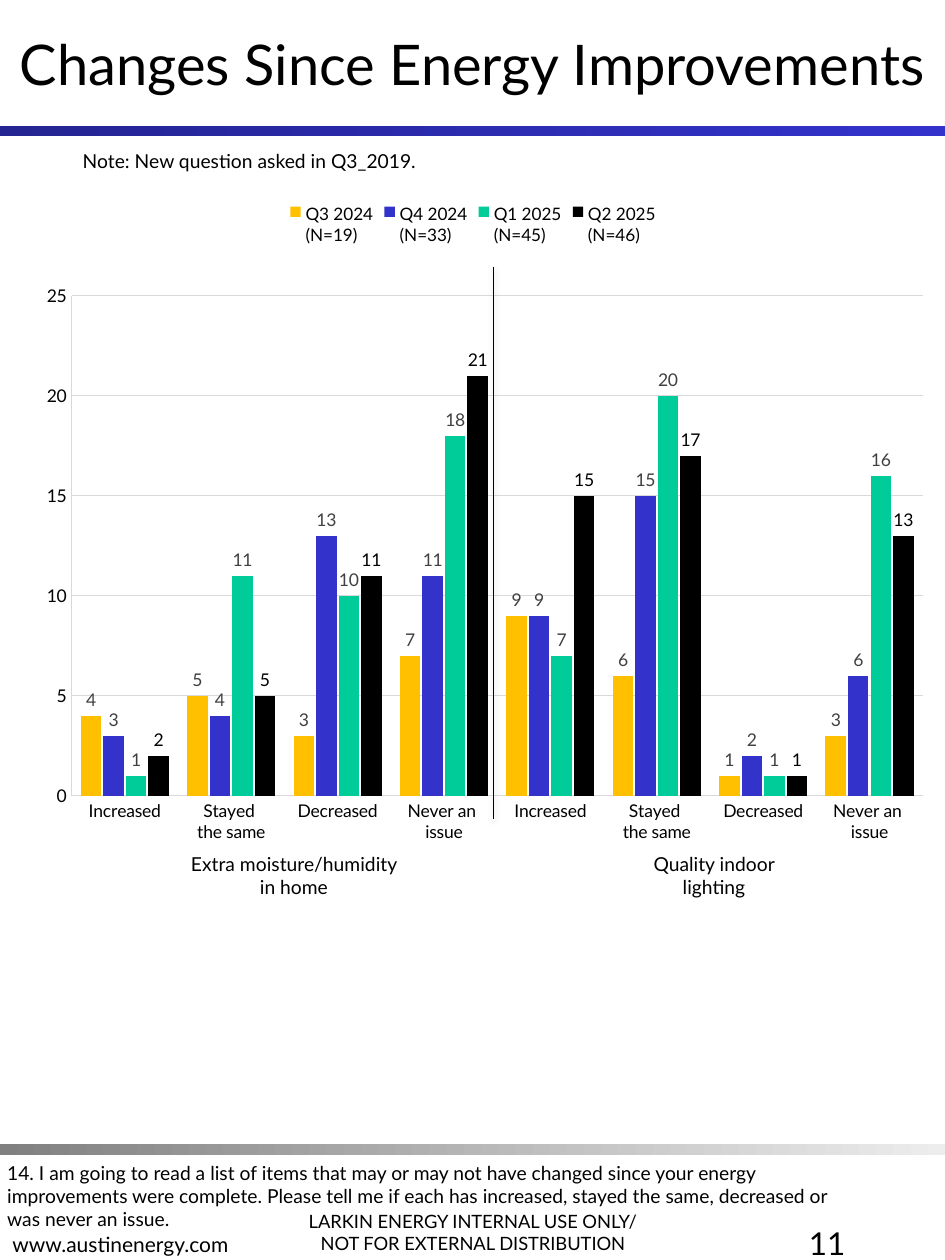
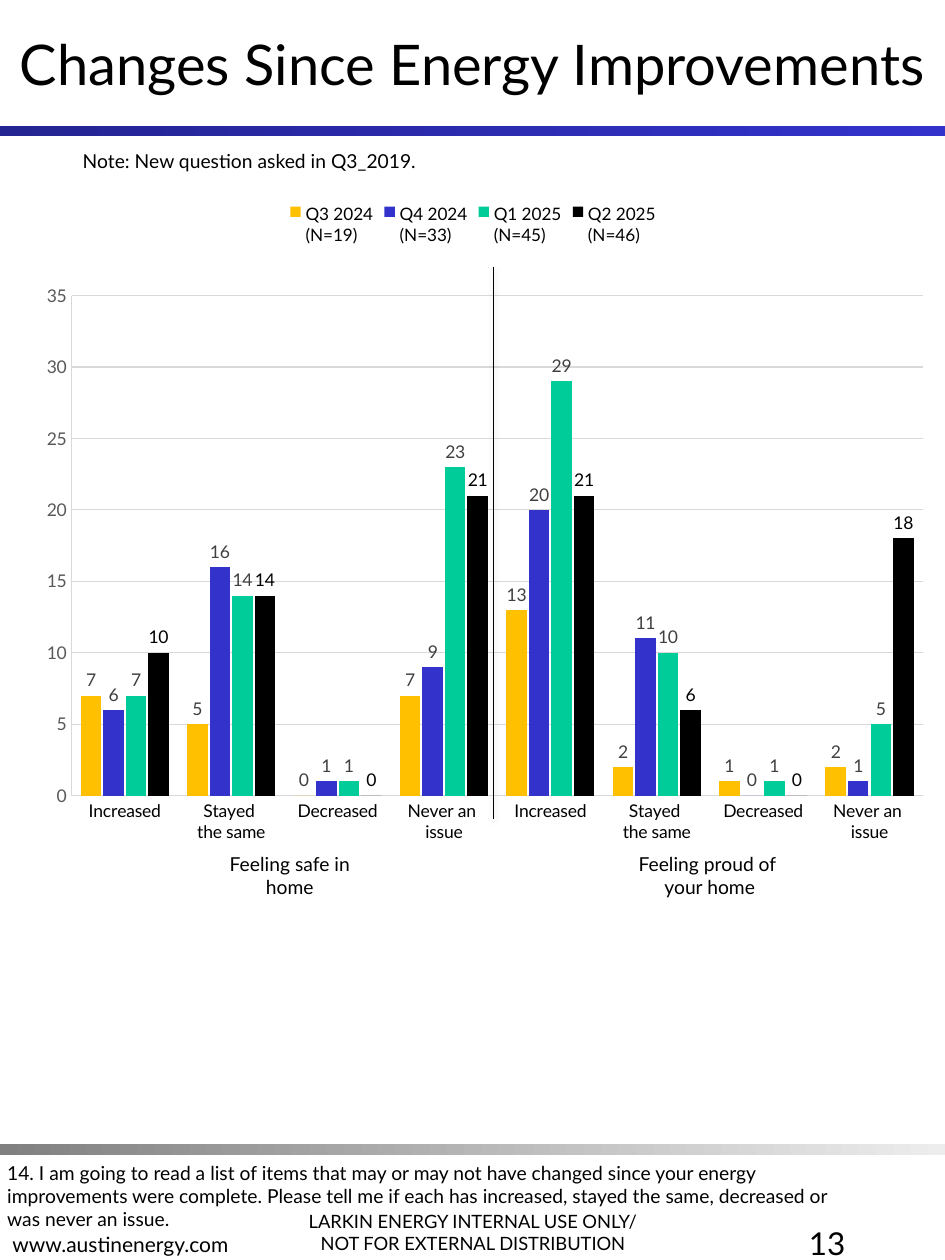
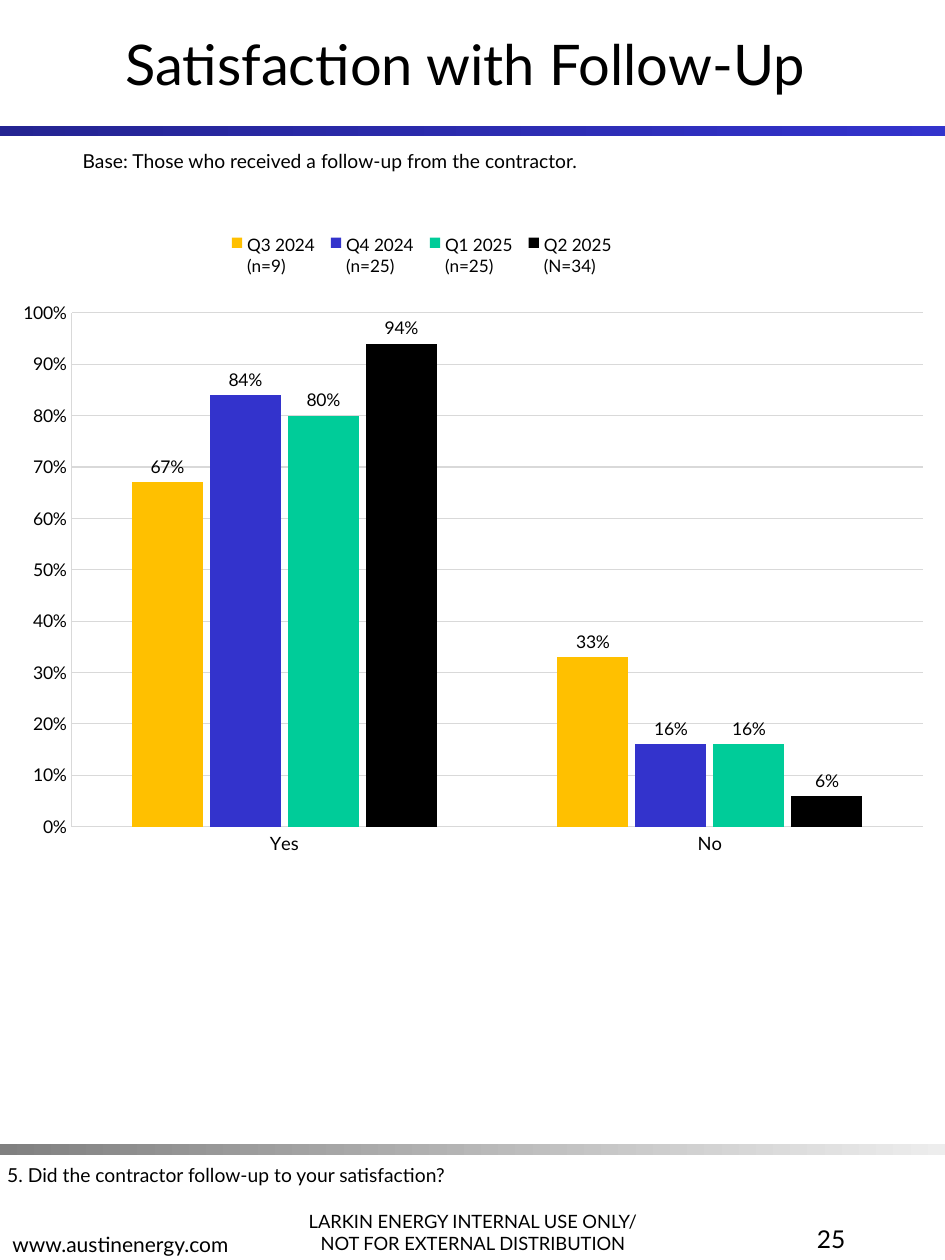
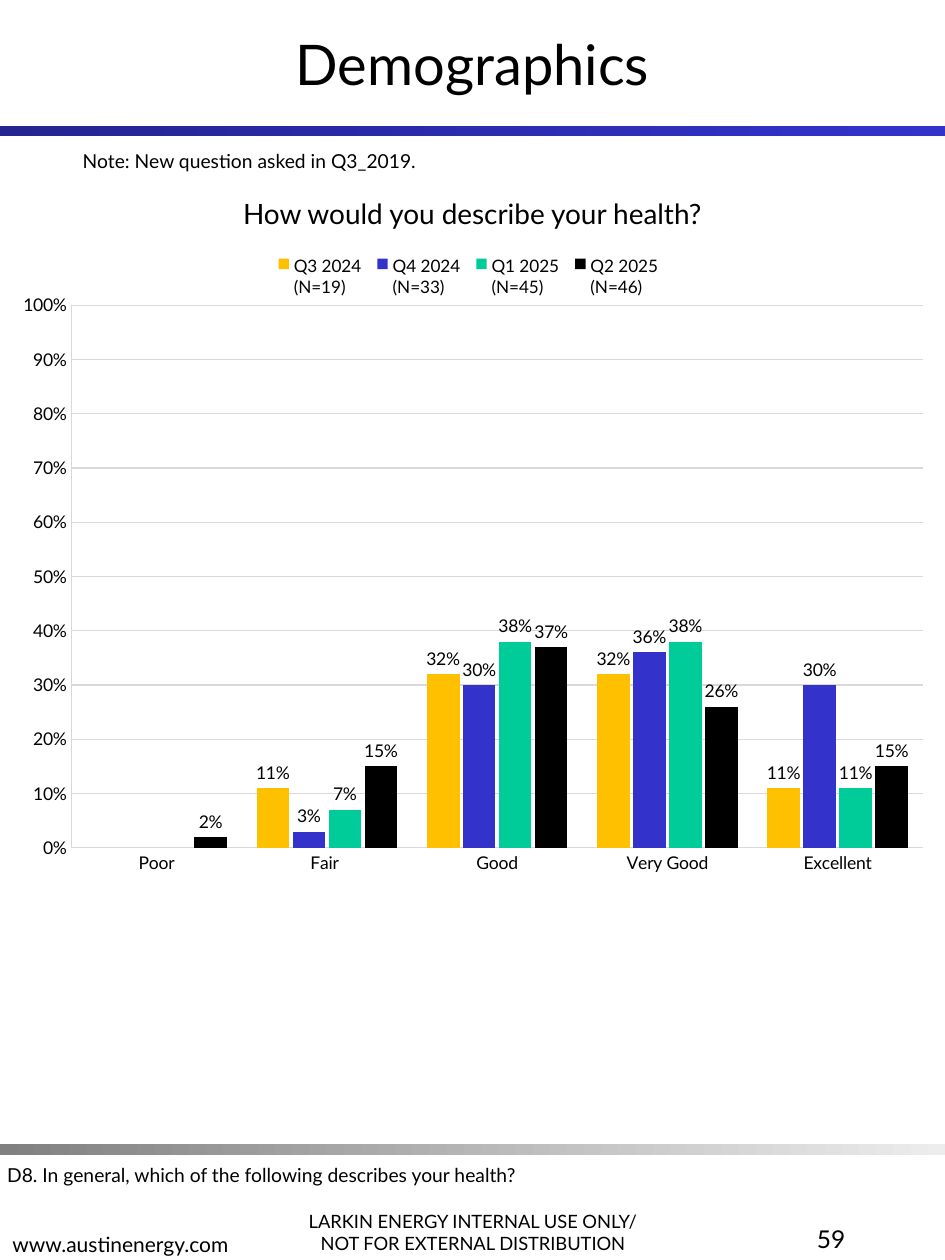
from lxml import etree
from pptx import Presentation
from pptx.chart.data import CategoryChartData
from pptx.dml.color import RGBColor
from pptx.enum.chart import XL_CHART_TYPE as ChartType
from pptx.enum.chart import XL_LABEL_POSITION as LabelPosition
from pptx.enum.chart import XL_LEGEND_POSITION as LegendPosition
from pptx.enum.chart import XL_TICK_MARK as TickMark
from pptx.enum.shapes import MSO_CONNECTOR as Connector
from pptx.enum.shapes import MSO_SHAPE as Preset
from pptx.enum.text import MSO_ANCHOR as Anchor
from pptx.enum.text import MSO_AUTO_SIZE as AutoSize
from pptx.enum.text import PP_ALIGN as Align
from pptx.oxml import parse_xml
from pptx.oxml.ns import nsdecls, qn
from pptx.util import Inches, Pt

# Shared look: a grid of 90 columns by 120 rows, twelve to the inch
COLUMNS, ROWS, PER_INCH = 90, 120, 12
FONT = "Lato"
BLACK = RGBColor(0x00, 0x00, 0x00)
LABEL_GRAY = RGBColor(0x40, 0x40, 0x40)
AXIS_GRAY = RGBColor(0x59, 0x59, 0x59)
GRID_GRAY = RGBColor(0xD9, 0xD9, 0xD9)
NAVY = RGBColor(0x24, 0x24, 0x92)
BLUE = RGBColor(0x33, 0x33, 0xCC)
BAND_GRAY = RGBColor(0x80, 0x80, 0x80)
BAND_LIGHT = RGBColor(0xED, 0xED, 0xED)
SERIES_COLORS = [RGBColor(0xFF, 0xC0, 0x00), BLUE, RGBColor(0x00, 0xCC, 0x99), BLACK]

# Shared wording
QUARTERS = ["Q3 2024", "Q4 2024", "Q1 2025", "Q2 2025"]
ALL_BASES = ["(N=19)", "(N=33)", "(N=45)", "(N=46)"]
CHANGES = ["Increased", "Stayed \nthe same", "Decreased", "Never an \nissue"] * 2
NEW_QUESTION = "Note: New question asked in Q3_2019."
CHANGES_QUESTION = (
    "14. I am going to read a list of items that may or may not have changed since "
    "your energy improvements were complete. Please tell me if each has increased, "
    "stayed the same, decreased or was never an issue.")


def grid(*cells):
    return [Inches(cell / PER_INCH) for cell in cells]


def style_font(font, size, color=BLACK):
    font.name = FONT
    font.size = Pt(size)
    font.color.rgb = color


def write_lines(frame, lines, size, align=Align.LEFT):
    for index, line in enumerate(lines):
        paragraph = frame.paragraphs[0] if index == 0 else frame.add_paragraph()
        paragraph.alignment = align
        run = paragraph.add_run()
        run.text = line
        style_font(run.font, size)


def add_text(slide, place, lines, size, align=Align.LEFT, anchor=Anchor.TOP, wrap=True):
    shape = slide.shapes.add_textbox(*grid(*place))
    shape.text_frame.word_wrap = wrap
    shape.text_frame.vertical_anchor = anchor
    write_lines(shape.text_frame, lines, size, align)
    return shape


def add_band(slide, row, colors):
    band = slide.shapes.add_shape(Preset.RECTANGLE, *grid(0, row, COLUMNS, 1))
    band.shadow.inherit = False
    band.line.fill.background()
    band.fill.gradient()
    band.fill.gradient_angle = 0
    for stop, color in zip(band.fill.gradient_stops, colors):
        stop.color.rgb = color
    return band


def furnish_layout(layout, slide):
    """Draw the bands and footers once and hand them to the layout."""
    for placeholder in list(layout.placeholders):
        if placeholder.placeholder_format.idx >= 10:
            placeholder.element.getparent().remove(placeholder.element)
    shared = [
        add_band(slide, 12, (NAVY, BLUE)),
        add_band(slide, 109, (BAND_GRAY, BAND_LIGHT)),
        add_text(slide, (25.9, 112, 38.3, 8),
                 ["LARKIN ENERGY INTERNAL USE ONLY/", "NOT FOR EXTERNAL DISTRIBUTION"],
                 10.5, Align.CENTER, Anchor.BOTTOM),
        add_text(slide, (0, 112.3, 38.3, 8), ["www.austinenergy.com"], 12,
                 anchor=Anchor.BOTTOM),
    ]
    for shape in shared:
        layout.shapes.element.append(shape.element)


def add_frame(slide, title, number, number_size, note, question, question_row):
    """Fill in the title, page number, note and survey question."""
    heading = slide.shapes.title
    heading.left, heading.top, heading.width, heading.height = grid(0, 0, COLUMNS, 12)
    heading.text_frame.auto_size = AutoSize.NONE
    heading.text_frame.vertical_anchor = Anchor.MIDDLE
    write_lines(heading.text_frame, [title], 32, Align.CENTER)
    add_text(slide, (63, 116, 18.7, 8), [number], number_size, Align.RIGHT)
    add_text(slide, (6.7, 13.6, 77.3, 3.5), [note], 11)
    add_text(slide, (-0.5, question_row, 82.2, 3.5), [question], 11)


def set_layout(parent, index, place, inner=False):
    """Fix the place of a chart part, in shares of the chart's size."""
    for old in parent.findall(qn("c:layout")):
        parent.remove(old)
    layout = parse_xml(f"<c:layout {nsdecls('c')}><c:manualLayout/></c:layout>")
    settings = [("layoutTarget", "inner")] if inner else []
    settings += [("xMode", "edge"), ("yMode", "edge"), *zip("xywh", place)]
    for name, value in settings:
        etree.SubElement(layout[0], qn(f"c:{name}")).set("val", str(value))
    parent.insert(index, layout)


def style_axis(axis, size, color, line_width):
    axis.major_tick_mark = axis.minor_tick_mark = TickMark.NONE
    style_font(axis.tick_labels.font, size, color)
    axis.format.line.color.rgb = GRID_GRAY
    axis.format.line.width = Pt(line_width)


def add_column_chart(slide, place, categories, rows, plot_place, bases=ALL_BASES,
                     percent=False, gap=90, category_size=10, value_color=BLACK,
                     legend_place=None):
    number_format = "0%" if percent else "General"
    data = CategoryChartData(number_format=number_format)
    data.categories = categories
    for quarter, base, values in zip(QUARTERS, bases, rows):
        data.add_series(f"{quarter}\n{base}", values)
    chart = slide.shapes.add_chart(
        ChartType.COLUMN_CLUSTERED, *grid(*place), data).chart
    style_font(chart.font, 10)
    chart.has_title = False

    # Legend
    chart.has_legend = True
    chart.legend.position = LegendPosition.TOP
    chart.legend.include_in_layout = False
    style_font(chart.legend.font, 9.8)
    if legend_place:
        set_layout(chart.element.find(".//" + qn("c:legend")), 1, legend_place)

    # Axes
    style_axis(chart.category_axis, category_size, BLACK, 0.62)
    axis = chart.value_axis
    style_axis(axis, 10, value_color, 0.41)
    axis.minimum_scale = 0
    if percent:
        axis.maximum_scale = 1
    axis.tick_labels.number_format = number_format
    axis.tick_labels.number_format_is_linked = False
    axis.has_major_gridlines = True
    axis.major_gridlines.format.line.color.rgb = GRID_GRAY
    axis.major_gridlines.format.line.width = Pt(0.62)

    # Columns and their labels
    plot = chart.plots[0]
    plot.gap_width, plot.overlap, plot.vary_by_categories = gap, -10, False
    for series, color in zip(plot.series, SERIES_COLORS):
        series.invert_if_negative = False
        series.format.fill.solid()
        series.format.fill.fore_color.rgb = color
        labels = series.data_labels
        labels.show_value = True
        labels.position = LabelPosition.OUTSIDE_END
        labels.number_format = number_format
        labels.number_format_is_linked = False
        style_font(labels.font, 10, BLACK if percent or color == BLACK else LABEL_GRAY)
    set_layout(chart.element.find(".//" + qn("c:plotArea")), 0, plot_place, inner=True)


def add_divider(slide):
    left, top, bottom = grid(47, 25.4, 78)
    divider = slide.shapes.add_connector(Connector.STRAIGHT, left, top, left, bottom)
    divider.line.color.rgb = BLACK
    divider.line.width = Pt(0.25)
    divider.element.spPr.append(parse_xml(
        f'<a:effectLst {nsdecls("a")}><a:outerShdw blurRad="40000" dist="20000" '
        'dir="5400000" rotWithShape="0"><a:srgbClr val="000000">'
        '<a:alpha val="38000"/></a:srgbClr></a:outerShdw></a:effectLst>'))


def fill_changes_slide(slide, number, rows, topics, value_color=BLACK):
    """Compare two topics side by side in one chart."""
    add_frame(slide, "Changes Since Energy Improvements", number, 18,
              NEW_QUESTION, CHANGES_QUESTION, 110)
    add_column_chart(slide, (0.7, 18, 88.7, 71), CHANGES, rows,
                     (0.069, 0.143, 0.914, 0.671), value_color=value_color)
    for place, lines in topics:
        add_text(slide, place, lines, 11, Align.CENTER, wrap=False)
    add_divider(slide)


def main():
    presentation = Presentation()
    presentation.slide_width, presentation.slide_height = grid(COLUMNS, ROWS)
    layout = presentation.slide_layouts[5]
    moisture, safety, follow_up, health = [
        presentation.slides.add_slide(layout) for _ in range(4)]
    furnish_layout(layout, moisture)

    # Moisture and lighting
    fill_changes_slide(
        moisture, "11",
        [(4, 5, 3, 7, 9, 6, 1, 3), (3, 4, 13, 11, 9, 15, 2, 6),
         (1, 11, 10, 18, 7, 20, 1, 16), (2, 5, 11, 21, 15, 17, 1, 13)],
        [((17, 80.6, 22, 5.4), ["Extra moisture/humidity ", "in home"]),
         ((58, 80.6, 20, 7.2), ["Quality indoor lighting"])])

    # Safety and pride
    fill_changes_slide(
        safety, "13",
        [(7, 5, 0, 7, 13, 2, 1, 2), (6, 16, 1, 9, 20, 11, 0, 1),
         (7, 14, 1, 23, 29, 10, 1, 5), (10, 14, 0, 21, 21, 6, 0, 18)],
        [((19, 80.6, 17.2, 5.4), ["Feeling safe in home"]),
         ((59, 80.6, 17.2, 7.2), ["Feeling proud of ", "your home"])],
        value_color=AXIS_GRAY)

    # Follow-up
    add_frame(follow_up, "Satisfaction with Follow-Up ", "25", 14,
              "Base: Those who received a follow-up from the contractor.",
              "5. Did the contractor follow-up to your satisfaction?", 110.2)
    add_column_chart(
        follow_up, (0.7, 20.6, 88.7, 61.8), ["Yes", "No"],
        [(0.67, 0.33), (0.84, 0.16), (0.8, 0.16), (0.94, 0.06)],
        (0.069, 0.149, 0.914, 0.792), bases=["(n=9)", "(n=25)", "(n=25)", "(N=34)"],
        percent=True, gap=170, category_size=10.5, legend_place=(0.23, 0.02, 0.43, 0.08))

    # Health
    add_frame(health, "Demographics", "59", 14, NEW_QUESTION,
              "D8. In general, which of the following describes your health?", 110.2)
    add_column_chart(
        health, (0.7, 19.9, 88.7, 64.2), ["Poor", "Fair ", "Good", "Very Good", "Excellent"],
        [(None, 0.11, 0.32, 0.32, 0.11), (None, 0.03, 0.3, 0.36, 0.3),
         (None, 0.07, 0.38, 0.38, 0.11), (0.02, 0.15, 0.37, 0.26, 0.15)],
        (0.069, 0.143, 0.914, 0.805), percent=True, legend_place=(0.28, 0.06, 0.43, 0.08))
    add_text(health, (20.3, 18.1, 49.4, 4.4), ["How would you describe your health?"],
             16, Align.CENTER)

    presentation.save("out.pptx")


if __name__ == "__main__":
    main()
